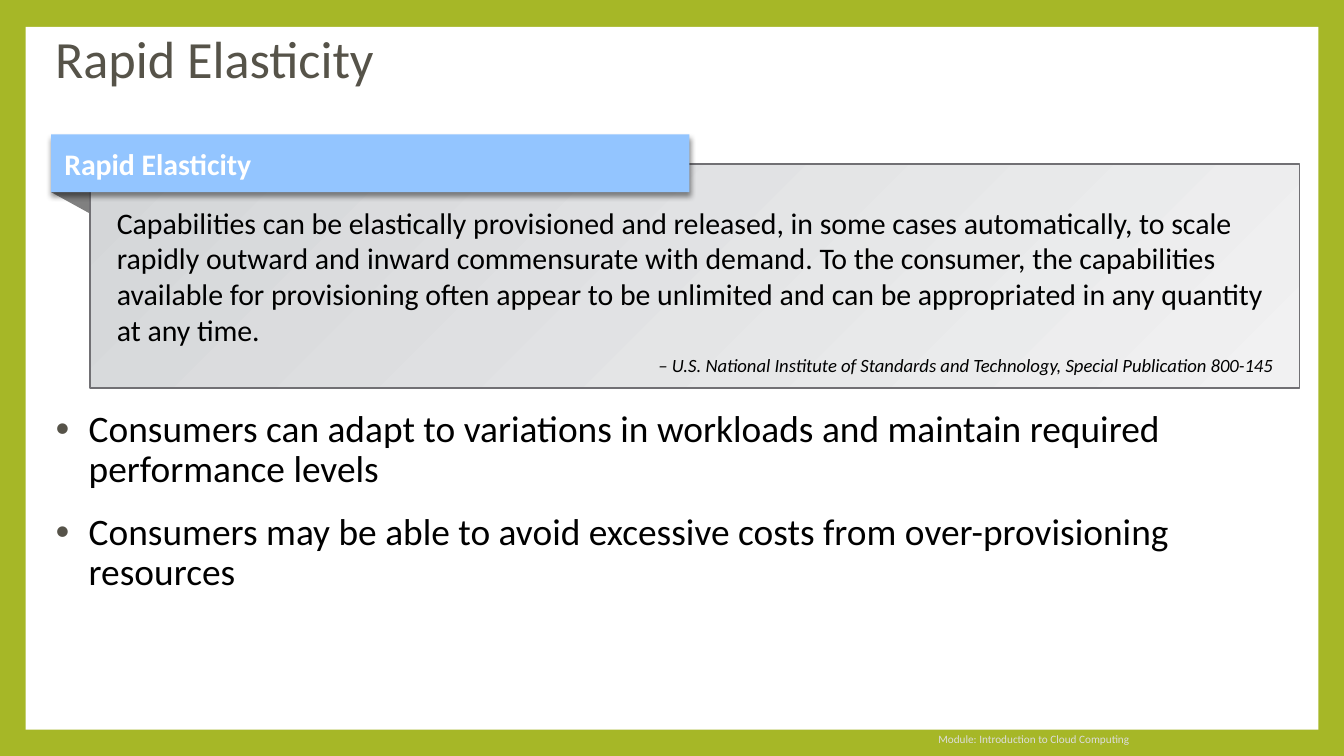
from dataclasses import dataclass

from lxml.etree import SubElement
from pptx import Presentation
from pptx.dml.color import RGBColor as Rgb
from pptx.enum.shapes import MSO_SHAPE as Preset
from pptx.enum.text import MSO_ANCHOR as Anchor, PP_ALIGN as Align
from pptx.oxml.ns import qn
from pptx.util import Inches, Pt


@dataclass(frozen=True)
class Theme:
    font: str = "Calibri"
    frame: str = "A6B727"
    white: str = "FFFFFF"
    heading: str = "565349"
    text: str = "000000"
    footer: str = "DDDDDD"
    banner: str = "93C5FF"
    fold: str = "808080"
    outline: str = "717074"
    gradient: tuple = ("D4D6D8", "F1F1F2")
    title_size: int = 28
    body_size: int = 20
    quote_size: int = 16
    source_size: int = 10
    footer_size: int = 6


def rgb(code):
    return Rgb.from_string(code)


def apply(target, values):
    for name, value in values.items():
        setattr(target, name, value)


class SlideBuilder:
    def __init__(self, page, theme):
        self.page = page
        self.theme = theme

    def background(self, color):
        fill = self.page.background.fill
        fill.solid()
        fill.fore_color.rgb = rgb(color)

    def paint(self, shape, color):
        shape.shadow.inherit = False
        shape.fill.solid()
        shape.fill.fore_color.rgb = rgb(color)
        shape.line.fill.background()
        return shape

    def rectangle(self, place, color):
        shape = self.page.shapes.add_shape(Preset.RECTANGLE, *map(Inches, place))
        return self.paint(shape, color)

    def polygon(self, points, color):
        corners = [(Inches(x), Inches(y)) for x, y in points]
        outline = self.page.shapes.build_freeform(*corners[0])
        outline.add_line_segments(corners[1:], close=True)
        return self.paint(outline.convert_to_shape(), color)

    def panel(self, place):
        """Outlined rectangle shaded from its top left to its bottom right."""
        box = self.rectangle(place, self.theme.white)
        box.fill.gradient()
        box.fill.gradient_angle = 315
        for stop, color in zip(box.fill.gradient_stops, self.theme.gradient):
            stop.color.rgb = rgb(color)
        box.line.color.rgb = rgb(self.theme.outline)
        box.line.width = Pt(1)
        return box

    def drop_shadow(self, shape):
        effects = shape._element.spPr.find(qn("a:effectLst"))
        shadow = SubElement(effects, qn("a:outerShdw"), blurRad=str(Pt(3)),
                            dist=str(Pt(2)), dir="5400000", rotWithShape="0")
        color = SubElement(shadow, qn("a:srgbClr"), val="000000")
        SubElement(color, qn("a:alpha"), val="45000")

    def text_box(self, place):
        return self.page.shapes.add_textbox(*map(Inches, place))

    def frame(self, box, insets=(0.1, 0.05, 0.1, 0.05), anchor=Anchor.TOP):
        sides = ("margin_left", "margin_top", "margin_right", "margin_bottom")
        apply(box.text_frame, dict(zip(sides, map(Inches, insets))))
        apply(box.text_frame, {"word_wrap": True, "vertical_anchor": anchor})

    def paragraph(self, box, text, size, color, layout=None, **style):
        para = box.text_frame.paragraphs[0]
        if para.runs:
            para = box.text_frame.add_paragraph()
        apply(para, {"alignment": Align.LEFT, **(layout or {})})
        span = para.add_run()
        span.text = text
        span.font.color.rgb = rgb(color)
        apply(span.font, {"name": self.theme.font, "size": Pt(size), **style})
        return para

    def bullet(self, box, text):
        layout = {"line_spacing": 0.9, "space_before": Pt(12)}
        para = self.paragraph(box, text, self.theme.body_size, self.theme.text, layout)
        props = para._p.get_or_add_pPr()
        props.set("marL", str(Inches(0.25)))
        props.set("indent", str(-Inches(0.25)))
        color = SubElement(props, qn("a:buClr"))
        SubElement(color, qn("a:srgbClr"), val=self.theme.heading)
        SubElement(props, qn("a:buSzPct"), val="80000")
        SubElement(props, qn("a:buFont"), typeface=self.theme.font)
        SubElement(props, qn("a:buChar"), char="•")


def main():
    deck = Presentation()
    deck.slide_width = Inches(10)
    deck.slide_height = deck.slide_width * 9 // 16
    theme = Theme()
    page = SlideBuilder(deck.slides.add_slide(deck.slide_layouts[6]), theme)
    flush = (0, 0, 0, 0)

    page.background(theme.frame)
    page.rectangle((0.19, 0.2, 9.62, 5.23), theme.white)

    title = page.text_box((0.41, 0.25, 9.25, 0.5))
    page.frame(title, flush)
    page.paragraph(title, "Rapid Elasticity", theme.title_size, theme.heading,
                   {"line_spacing": 0.9})

    body = page.text_box((0.41, 3.05, 9.25, 1.78))
    page.frame(body, flush)
    for point in (
        "Consumers can adapt to variations in workloads and maintain required "
        "performance levels",
        "Consumers may be able to avoid excessive costs from over-provisioning "
        "resources",
    ):
        page.bullet(body, point)

    footer = page.text_box((2.83, 5.42, 5.67, 0.15))
    page.frame(footer, anchor=Anchor.MIDDLE)
    page.paragraph(footer, "Module: Introduction to Cloud Computing",
                   theme.footer_size, theme.footer, {"alignment": Align.RIGHT})

    page.polygon([(0.38, 1.43), (0.67, 1.43), (0.67, 1.59)], theme.fold)

    quote = page.panel((0.67, 1.22, 9, 1.67))
    page.frame(quote, (0.2, 0.3, 0.2, 0.05))
    page.paragraph(
        quote,
        "Capabilities can be elastically provisioned and released, in some cases "
        "automatically, to scale rapidly outward and inward commensurate with demand. "
        "To the consumer, the capabilities available for provisioning often appear to "
        "be unlimited and can be appropriated in any quantity at any time.",
        theme.quote_size, theme.text)
    page.paragraph(
        quote,
        "– U.S. National Institute of Standards and Technology, "
        "Special Publication 800-145",
        theme.source_size, theme.text,
        {"alignment": Align.RIGHT, "space_before": Pt(3.6)}, italic=True)

    banner = page.rectangle((0.38, 1, 4.75, 0.43), theme.banner)
    page.drop_shadow(banner)
    page.frame(banner, anchor=Anchor.MIDDLE)
    page.paragraph(banner, "Rapid Elasticity", theme.quote_size, theme.white, bold=True)

    deck.save("out.pptx")


if __name__ == "__main__":
    main()
